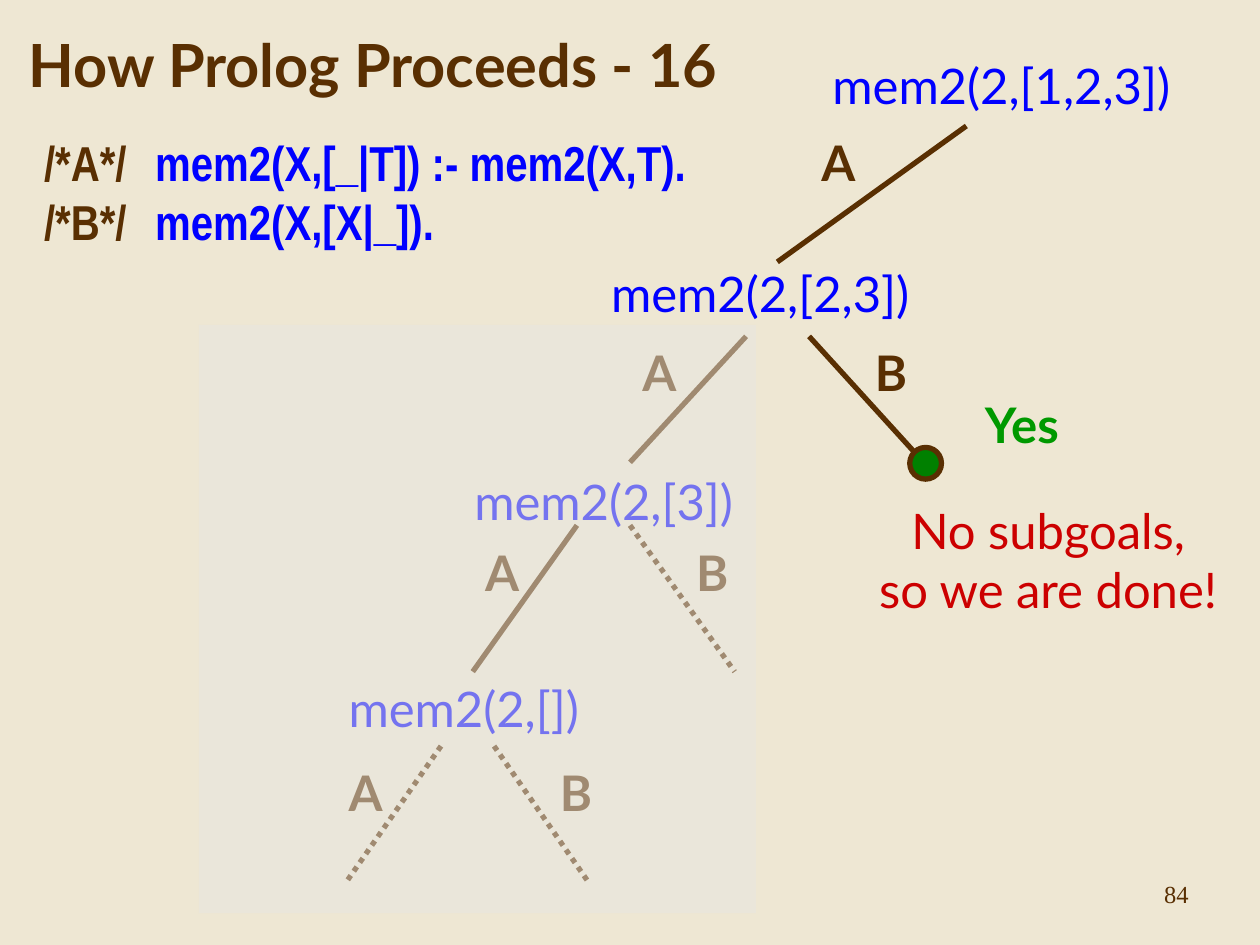
from lxml.etree import SubElement
from pptx import Presentation
from pptx.dml.color import RGBColor
from pptx.enum.dml import MSO_LINE_DASH_STYLE as Dash
from pptx.enum.shapes import MSO_CONNECTOR as Connector, MSO_SHAPE as Shape
from pptx.enum.text import MSO_ANCHOR as Anchor, MSO_AUTO_SIZE as AutoSize, PP_ALIGN as Align
from pptx.oxml.ns import qn
from pptx.util import Cm, Pt

CREAM = RGBColor(0xEE, 0xE7, 0xD3)
VEIL = RGBColor(0xE8, 0xE6, 0xE1)
BROWN = RGBColor(0x59, 0x2F, 0x02)
BLUE = RGBColor(0x00, 0x00, 0xFF)
RED = RGBColor(0xCC, 0x00, 0x00)
GREEN = RGBColor(0x00, 0x99, 0x00)
DARK_GREEN = RGBColor(0x00, 0x80, 0x00)

LINE_HEIGHT = 1.45

# left, top, width, text
GOALS = [
    (16.31, 0.99, 7.75, "mem2(2,[1,2,3])"),
    (11.86, 5.18, 6.93, "mem2(2,[2,3])"),
    (9.12, 9.37, 6.1, "mem2(2,[3])"),
    (6.58, 13.54, 5.54, "mem2(2,[])"),
]
# start x, start y, end x, end y, dotted, label, label left, label top
VEILED_BRANCHES = [
    (15.04, 6.78, 12.7, 9.32, False, "A", 12.7, 6.78),
    (11.63, 10.59, 9.53, 13.54, False, "A", 9.53, 10.8),
    (12.7, 10.59, 14.81, 13.54, True, "B", 13.77, 10.8),
    (8.89, 15.04, 6.98, 17.78, True, "A", 6.78, 15.24),
    (9.96, 15.04, 11.86, 17.78, True, "B", 11.02, 15.24),
]
OPEN_BRANCHES = [
    (19.48, 2.54, 15.67, 5.28, False, "A", 16.31, 2.54),
    (16.31, 6.78, 18.62, 9.32, False, "B", 17.37, 6.78),
]
CLAUSES = [
    ("/*A*/\t", "mem2(X,[_|T]) :- mem2(X,T)."),
    ("/*B*/\t", "mem2(X,[X|_])."),
]


def style_span(span, color, size=28, bold=False, font="Lato"):
    span.font.name = font
    span.font.size = Pt(size)
    span.font.bold = bold
    span.font.color.rgb = color


def add_box(page, left, top, width, height):
    box = page.shapes.add_textbox(Cm(left), Cm(top), Cm(width), Cm(height))
    frame = box.text_frame
    frame.word_wrap = False
    frame.auto_size = AutoSize.SHAPE_TO_FIT_TEXT
    frame.vertical_anchor = Anchor.MIDDLE
    return frame


def add_text(page, left, top, width, height, text, color, align=Align.CENTER, **style):
    frame = add_box(page, left, top, width, height)
    frame.text = text
    for para in frame.paragraphs:
        para.alignment = align
        for span in para.runs:
            style_span(span, color, **style)


def add_branch(page, x1, y1, x2, y2, dotted, label, label_left, label_top):
    """Draw one tree edge and the letter of the clause it uses."""
    edge = page.shapes.add_connector(Connector.STRAIGHT, Cm(x1), Cm(y1), Cm(x2), Cm(y2))
    edge.line.color.rgb = BROWN
    edge.line.width = Pt(3)
    if dotted:
        edge.line.dash_style = Dash.ROUND_DOT
    SubElement(edge._element.spPr, qn("a:effectLst"))
    add_text(page, label_left, label_top, 1.18, LINE_HEIGHT, label, BROWN, bold=True)


def add_filled_shape(page, kind, left, top, width, height, color):
    shape = page.shapes.add_shape(kind, Cm(left), Cm(top), Cm(width), Cm(height))
    shape.shadow.inherit = False
    shape.fill.solid()
    shape.fill.fore_color.rgb = color
    shape.line.fill.background()
    return shape


def add_veil(page):
    """Fade the part of the tree that is not explored."""
    veil = add_filled_shape(page, Shape.RECTANGLE, 4.01, 6.55, 11.23, 11.86, VEIL)
    color = veil._element.spPr.find(qn("a:solidFill"))[0]
    SubElement(color, qn("a:alpha"), val="50000")


def add_success_node(page):
    node = add_filled_shape(page, Shape.OVAL, 18.34, 9.02, 0.64, 0.64, DARK_GREEN)
    node.line.color.rgb = BROWN
    node.line.width = Pt(3)


def add_clauses(page):
    para = add_box(page, 0.64, 2.54, 13.44, 2.64).paragraphs[0]
    para.alignment = Align.LEFT
    tabs = SubElement(para._p.get_or_add_pPr(), qn("a:tabLst"))
    SubElement(tabs, qn("a:tab"), pos=str(Cm(2.24)), algn="l")
    for number, (comment, clause) in enumerate(CLAUSES):
        if number:
            para.add_line_break()
        for text, color in ((comment, BROWN), (clause, BLUE)):
            span = para.add_run()
            span.text = text
            style_span(span, color, bold=True, font="Arial Narrow")


def main():
    deck = Presentation()
    deck.slide_width, deck.slide_height = Cm(25.4), Cm(19.05)
    page = deck.slides.add_slide(deck.slide_layouts[6])
    page.background.fill.solid()
    page.background.fill.fore_color.rgb = CREAM

    add_text(page, 0.33, 0.43, 15.52, 1.7, "How Prolog Proceeds - 16", BROWN,
             align=Align.LEFT, size=34, bold=True)
    add_clauses(page)
    for left, top, width, goal in GOALS:
        add_text(page, left, top, width, LINE_HEIGHT, goal, BLUE)
    for branch in VEILED_BRANCHES:
        add_branch(page, *branch)
    add_veil(page)
    for branch in OPEN_BRANCHES:
        add_branch(page, *branch)
    add_success_node(page)
    add_text(page, 19.51, 7.82, 2.18, LINE_HEIGHT, "Yes", GREEN, bold=True)
    add_text(page, 17.22, 9.96, 7.82, 2.64, "No subgoals,\nso we are done!", RED)
    add_text(page, 22.43, 17.58, 2.57, 0.86, "84", BROWN, size=14, font="Times New Roman")

    deck.save("out.pptx")


if __name__ == "__main__":
    main()
